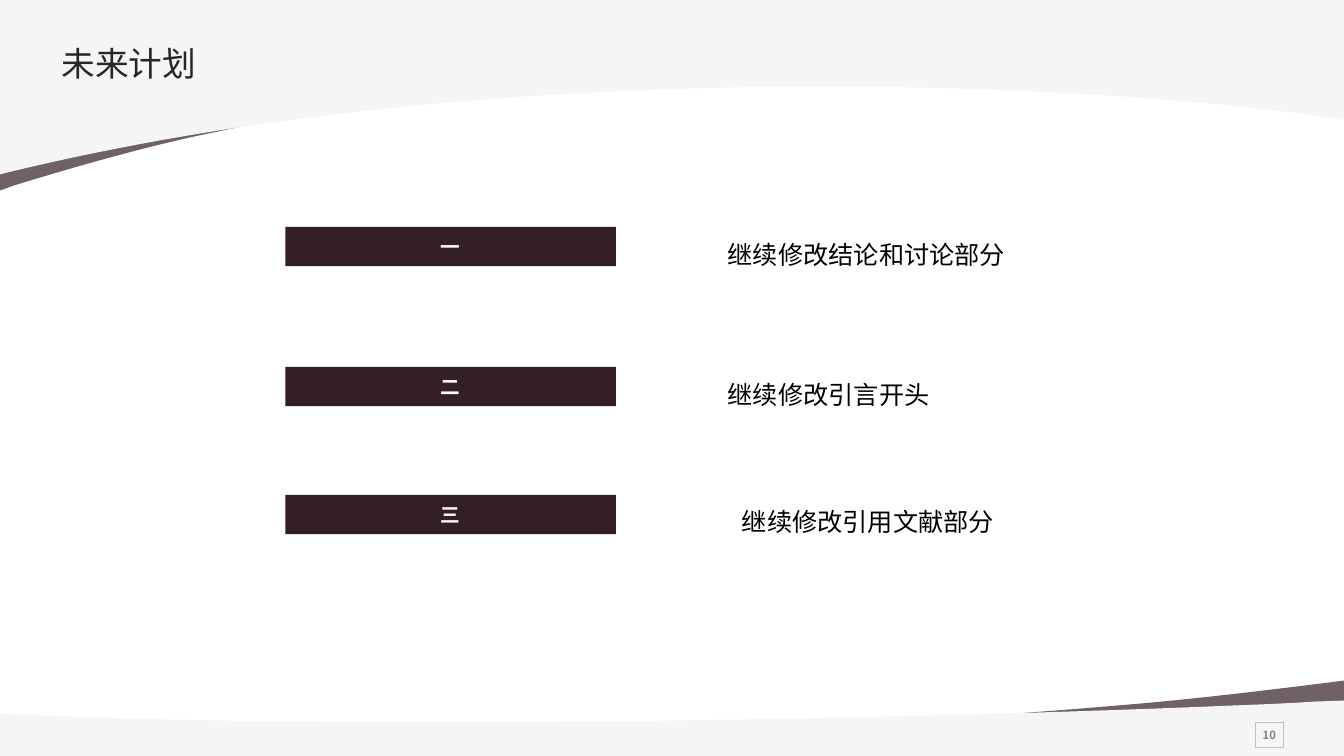
from lxml import etree
from pptx import Presentation
from pptx.dml.color import RGBColor
from pptx.enum import shapes, text
from pptx.oxml import ns
from pptx.util import Inches, Pt

PLUM = RGBColor(0x34, 0x1F, 0x24)
MIST = RGBColor(0xF5, 0xF5, 0xF5)
WHITE = RGBColor(0xFF, 0xFF, 0xFF)
BLACK = RGBColor(0, 0, 0)
INK = RGBColor(0x26, 0x26, 0x26)
GREY = RGBColor(0x80, 0x80, 0x80)
EDGE = RGBColor(0xBF, 0xBF, 0xBF)
SANS = "Noto Sans CJK SC"


def write(shape, words, size, color, face=SANS, bold=False, inset=(0.1, 0.05, 0.1, 0.05)):
    """Fill a shape with one formatted line and return its paragraph."""
    frame = shape.text_frame
    frame.text = words
    frame.margin_left, frame.margin_top, frame.margin_right, frame.margin_bottom = (
        Inches(n) for n in inset)
    para = frame.paragraphs[0]
    font = para.runs[0].font
    font.name, font.size, font.bold = face, Pt(size), bold
    font.color.rgb = color
    props = para.runs[0]._r.get_or_add_rPr()
    props.set("lang", "zh-CN")
    etree.SubElement(props, ns.qn("a:ea"), typeface=face)
    return para


deck = Presentation()
deck.slide_width, deck.slide_height = Inches(13.33), Inches(7.5)
slide = deck.slides.add_slide(deck.slide_layouts[5])
items = slide.shapes

# Curved bands: path (two numbers a point, six a curve), colour, opacity in percent
bands = [
    ([(0, 1.89), (0, 0.22), (13.34, 0.22), (13.34, 0.91), (13.33, 0.91),
      (10.32, 0.06, 5.14, 0.67, 2.14, 1.31), (1.54, 1.43, 0.86, 1.62, 0.14, 1.84)],
     PLUM, 70),
    ([(0, 0), (13.33, 0), (13.33, 1.19), (11.4, 0.87, 5.17, 0.45, 0, 1.73)], MIST, 100),
    ([(13.34, 6.75), (13.34, 7.44), (0, 7.44), (0, 7.15), (0.01, 7.16),
      (3.01, 7.5, 8.2, 7.25, 11.19, 6.99), (11.79, 6.94, 12.47, 6.86, 13.19, 6.77)],
     PLUM, 70),
    ([(13.34, 6.95), (13.34, 7.17), (13.34, 7.19), (13.34, 7.5), (0, 7.5), (0, 7.19),
      (0, 7.17), (0, 7.08), (0.44, 7.1),
      (3.92, 7.24, 9.1, 7.13, 12.2, 7), (12.46, 6.99, 12.75, 6.98, 13.04, 6.96)],
     MIST, 100),
]
for path, color, solid in bands:
    ends = [(Inches(seg[-2]), Inches(seg[-1])) for seg in path]
    pen = items.build_freeform(*ends[0], scale=1.0)
    pen.add_line_segments(ends[1:], close=True)
    band = pen.convert_to_shape()
    band.shadow.inherit = False
    band.fill.solid()
    band.fill.fore_color.rgb = color
    band.line.fill.background()

    # Bend the straight pieces that are curves
    lines = band.element.findall(".//" + ns.qn("a:lnTo"))
    for line, seg in zip(lines, path[1:]):
        if len(seg) == 6:
            line.tag = ns.qn("a:cubicBezTo")
            for old in list(line):
                line.remove(old)
            for x, y in zip(seg[::2], seg[1::2]):
                etree.SubElement(line, ns.qn("a:pt"), x=str(Inches(x) - band.left),
                                 y=str(Inches(y) - band.top))
    if solid < 100:
        tint = band.element.find(".//" + ns.qn("a:srgbClr"))
        etree.SubElement(tint, ns.qn("a:alpha"), val=str(solid * 1000))

# Page number
page = items.add_shape(shapes.MSO_SHAPE.RECTANGLE,
                       Inches(12.45), Inches(7.17), Inches(0.28), Inches(0.25))
page.shadow.inherit = False
page.fill.background()
page.line.color.rgb = EDGE
page.line.width = Pt(0.75)
para = write(page, "10", 8, GREY, bold=True, inset=(0.08,) * 4)
para.alignment = text.PP_ALIGN.CENTER
page.text_frame.vertical_anchor = text.MSO_ANCHOR.MIDDLE
page.text_frame.word_wrap = False

# Title, raised above the bands
title = items.title
items.element.append(title.element)
title.left, title.top, title.width, title.height = (
    Inches(n) for n in (0.53, 0.39, 12, 0.58))
para = write(title, "未来计划", 24, INK, inset=(0.08, 0.08, 0, 0.08))
para.alignment = text.PP_ALIGN.LEFT
para.line_spacing = 0.9
title.text_frame.vertical_anchor = text.MSO_ANCHOR.TOP
title.text_frame.auto_size = text.MSO_AUTO_SIZE.NONE
title.text_frame.word_wrap = False

# Plans: numeral, wording, bar top, note left, note top, note width
plans = [
    ("一", "继续修改结论和讨论部分", 2.25, 7.12, 2.17, 4.1),
    ("二", "继续修改引言开头", 3.64, 7.12, 3.56, 4.04),
    ("三", "继续修改引用文献部分", 4.91, 7.26, 4.82, 4.1),
]
for mark, words, top, left, head, width in plans:
    bar = items.add_shape(shapes.MSO_SHAPE.RECTANGLE,
                          Inches(2.83), Inches(top), Inches(3.28), Inches(0.39))
    bar.shadow.inherit = False
    bar.fill.solid()
    bar.fill.fore_color.rgb = PLUM
    bar.line.fill.background()
    para = write(bar, mark, 14, WHITE, bold=True, inset=(0.1, 0.08, 0.1, 0.08))
    para.alignment = text.PP_ALIGN.CENTER
    bar.text_frame.vertical_anchor = text.MSO_ANCHOR.TOP

    note = items.add_textbox(Inches(left), Inches(head), Inches(width), Inches(0.55))
    para = write(note, words, 18, BLACK, "Calibri")
    para.line_spacing = 1.5
    note.text_frame.word_wrap = True
    for box in (bar, note):
        box.text_frame.auto_size = text.MSO_AUTO_SIZE.SHAPE_TO_FIT_TEXT

deck.save("out.pptx")
